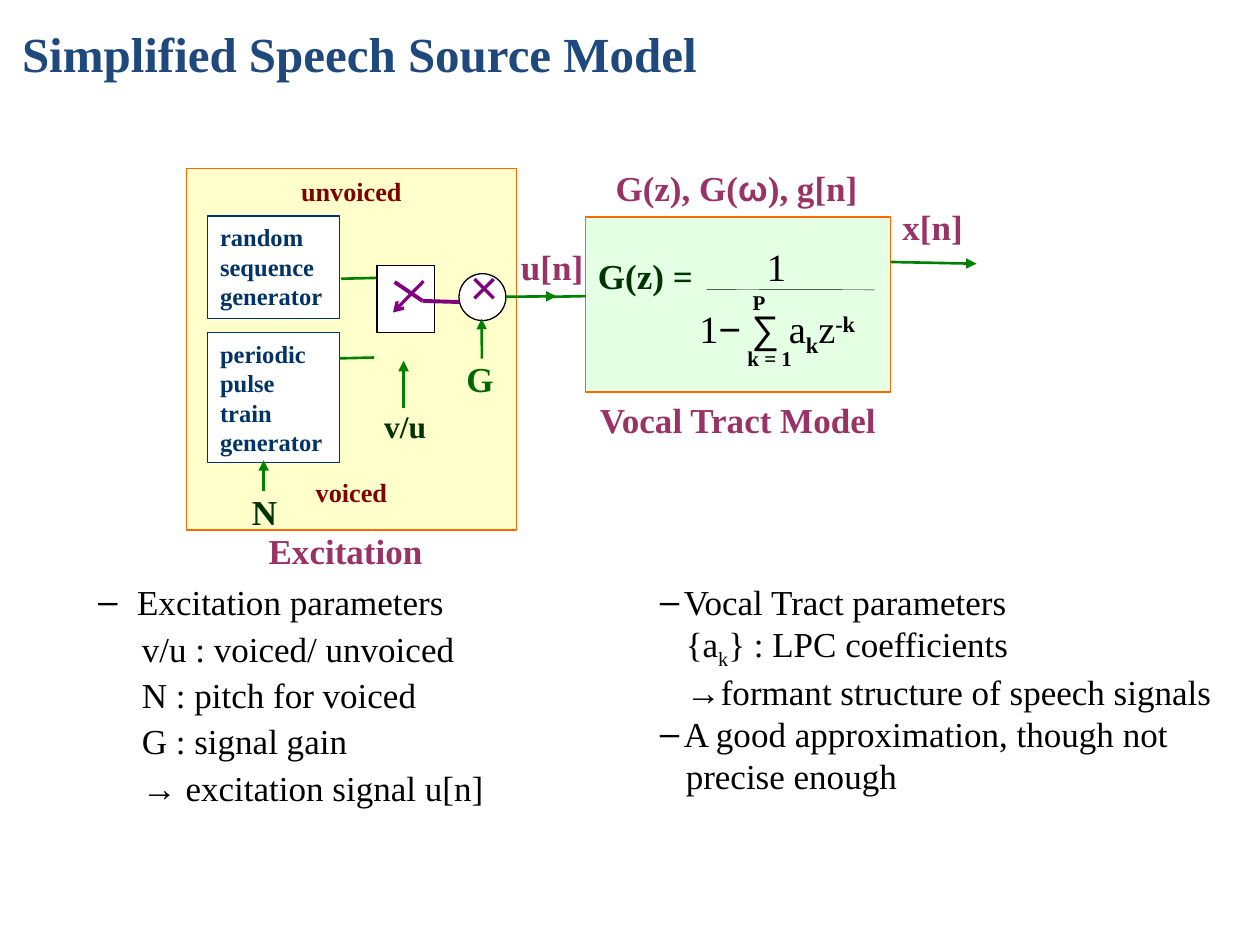
from lxml import etree
from pptx import Presentation
from pptx.dml import color as dml
from pptx.enum import shapes, text
from pptx.oxml import ns
from pptx.util import Pt

SERIF, SANS = "Times New Roman", "Arial"
PLUM, GREEN, PURPLE = "993366", "008000", "800080"
NAVY, FOREST, MAROON, ORANGE = "003366", "003300", "800000", "FF6600"
CENTER = text.PP_ALIGN.CENTER


def paint(target, value):
    target.rgb = dml.RGBColor.from_string(value)


def write(box, *spans, size=20, color="000000", bold=False, align=None, left=0,
          hang=0, bullet=None, before=0, after=0, inset=(7.2, 3.6)):
    if isinstance(box, tuple):
        box = page.shapes.add_textbox(*map(Pt, box))
    frame = box.text_frame
    frame.word_wrap = True
    frame.vertical_anchor = text.MSO_ANCHOR.TOP
    frame.margin_left = frame.margin_right = Pt(inset[0])
    frame.margin_top = frame.margin_bottom = Pt(inset[1])
    para = frame.add_paragraph() if frame.text else frame.paragraphs[0]
    para.alignment = align or text.PP_ALIGN.LEFT
    para.space_before, para.space_after = Pt(before), Pt(after)
    props = para._p.get_or_add_pPr()
    props.set("marL", str(Pt(left)))
    props.set("indent", str(Pt(-hang)))
    if bullet:
        etree.SubElement(props, ns.qn("a:buFont"), typeface=SANS)
        etree.SubElement(props, ns.qn("a:buChar"), char=bullet)
    for item in spans:
        words, style = item if isinstance(item, tuple) else (item, {})
        span = para.add_run()
        span.text = words
        span.font.size = Pt(size)
        span.font.name = style.get("font", SERIF)
        span.font.bold = style.get("bold", bold)
        span.font.fill.solid()
        paint(span.font.fill.fore_color, color)
        if "shift" in style:
            span._r.get_or_add_rPr().set("baseline", str(style["shift"] * 1000))
    return box


deck = Presentation()
deck.slide_width, deck.slide_height = Pt(720), Pt(540)
page = deck.slides.add_slide(deck.slide_layouts[6])

write((5.5, 10, 708, 40), "Simplified Speech Source Model", size=28, color="1F497D", bold=True)

blocks = {}
for name, kind, area, fill, alpha, edge in [
    ("excitation", "RECTANGLE", (106.5, 96.3, 188.6, 206.7), "FFFF99", 50, ORANGE),
    ("vocal tract", "RECTANGLE", (334.6, 124, 174.2, 100.1), "CCFFCC", 50, ORANGE),
    ("random", "RECTANGLE", (118.7, 123.4, 75.4, 58.7), "FFFFFF", 100, NAVY),
    ("periodic", "RECTANGLE", (118.7, 190, 75.4, 74.4), "FFFFFF", 100, NAVY),
    ("switch", "RECTANGLE", (215.4, 151.7, 32.8, 38.2), "FFFFFF", 100, "000000"),
    ("multiplier", "OVAL", (262.3, 156.4, 26.8, 26.8), "FFFFFF", 100, "000000"),
]:
    block = page.shapes.add_shape(getattr(shapes.MSO_SHAPE, kind), *map(Pt, area))
    block.shadow.inherit = False
    block.fill.solid()
    paint(block.fill.fore_color, fill)
    if alpha < 100:
        tone = block._element.spPr.find(".//" + ns.qn("a:srgbClr"))
        etree.SubElement(tone, ns.qn("a:alpha"), val=str(alpha * 1000))
    block.line.fill.solid()
    paint(block.line.color, edge)
    block.line.width = Pt(0.75)
    blocks[name] = block

for start, end, tint, width, head in [
    ((289, 169.6), (318, 169.3), GREEN, 1.5, "triangle"),
    ((315.4, 169.6), (334.6, 169.2), GREEN, 1.5, None),
    ((508.9, 149.7), (558, 150.7), GREEN, 1.5, "triangle"),
    ((194, 204.8), (213.8, 204.3), GREEN, 1.5, None),
    ((195, 159.3), (215, 158.8), GREEN, 1.5, None),
    ((230.6, 233.2), (230.6, 206.2), GREEN, 1.5, "triangle"),
    ((150.7, 280.7), (150.7, 263), GREEN, 1.5, "triangle"),
    ((275.4, 205), (275.2, 182.2), GREEN, 1.5, "triangle"),
    ((242, 160.7), (224.6, 178.6), PURPLE, 1.81, "arrow"),
    ((225.5, 161.2), (241.5, 172), PURPLE, 2.25, None),
    ((241.5, 172), (262.3, 172.6), PURPLE, 2.25, None),
    ((403.8, 165.4), (499.8, 165.6), "000000", 0.25, None),
]:
    line = page.shapes.add_connector(shapes.MSO_CONNECTOR.STRAIGHT, *map(Pt, start + end))
    line.line.fill.solid()
    paint(line.line.color, tint)
    line.line.width = Pt(width)
    if head:
        etree.SubElement(line.line._get_or_add_ln(), ns.qn("a:tailEnd"), type=head)
    etree.SubElement(line._element.spPr, ns.qn("a:effectLst"))

write(blocks["excitation"], "unvoiced", size=15, color=MAROON, bold=True, align=CENTER, inset=(7.2, 4))
for name, lines in [("random", ["random", "sequence", "generator"]),
                    ("periodic", ["periodic pulse train", "generator"])]:
    for words in lines:
        write(blocks[name], words, size=14, color=NAVY, bold=True)
write(blocks["vocal tract"], "G(z) =", color=FOREST, bold=True, inset=(7.2, 21.6))

for words, area, size, tint in [
    ("voiced", (106.5, 268.5, 188.6, 26), 15, MAROON),
    ("Excitation", (143.5, 299, 108, 32), 20, PLUM),
    ("Vocal Tract Model", (330.6, 224, 182, 32), 20, PLUM),
    ("x[n]", (507.7, 114, 50.4, 32), 20, PLUM),
    ("u[n]", (289.5, 136.8, 52, 32), 20, PLUM),
    ("G", (249.2, 200.5, 50.4, 32), 20, "006600"),
    ("v/u", (206.3, 229, 50.4, 32), 18, FOREST),
    ("N", (126, 276.5, 50.4, 32), 20, FOREST),
]:
    write(area, words, size=size, color=tint, bold=True, align=CENTER)
write((344.7, 91.5, 160, 32), "G(z), G(", ("ω", {"font": SANS}), "), g[n]", color=PLUM, bold=True)
write((261.4, 143, 30, 37), ("×", {"font": SANS}), size=28, color=PURPLE)

formula = write((392.6, 135.4, 113.8, 72), "1", size=22, left=38.5, after=9)
write(formula, "1", ("− ∑", {"font": SANS}), " a", ("k", {"bold": True, "shift": -25}),
      "z", ("-k", {"bold": True, "shift": 30}), size=22)
limits = write((422.8, 164.7, 41.8, 57.6), "P", size=12, bold=True, left=3, inset=(4.3, 0.7))
write(limits, "k = 1", size=12, bold=True, before=17.5, inset=(4.3, 0.7))

arrow = ("→", {"font": SANS})
left_list = write((6.5, 328.3, 340, 137.5), "Excitation parameters", left=64.8, hang=22.3, bullet="–", before=2.5)
for spans in [["v/u : voiced/ unvoiced"], ["N : pitch for voiced"], ["G : signal gain"],
              [arrow, " excitation signal u[n]"]]:
    write(left_list, *spans, left=67.5, before=2.5)

right_list = write((355.6, 328.1, 355.7, 131), "Vocal Tract parameters", left=28.1, hang=13.7, bullet="–")
for spans in [["{a", ("k", {"shift": -25}), "} : LPC coefficients"],
              [arrow, "formant structure of speech signals"]]:
    write(right_list, *spans, left=29.2)
write(right_list, "A good approximation, though not", left=28.1, hang=13.7, bullet="–")
write(right_list, "precise enough", left=29.2)

deck.save("out.pptx")
